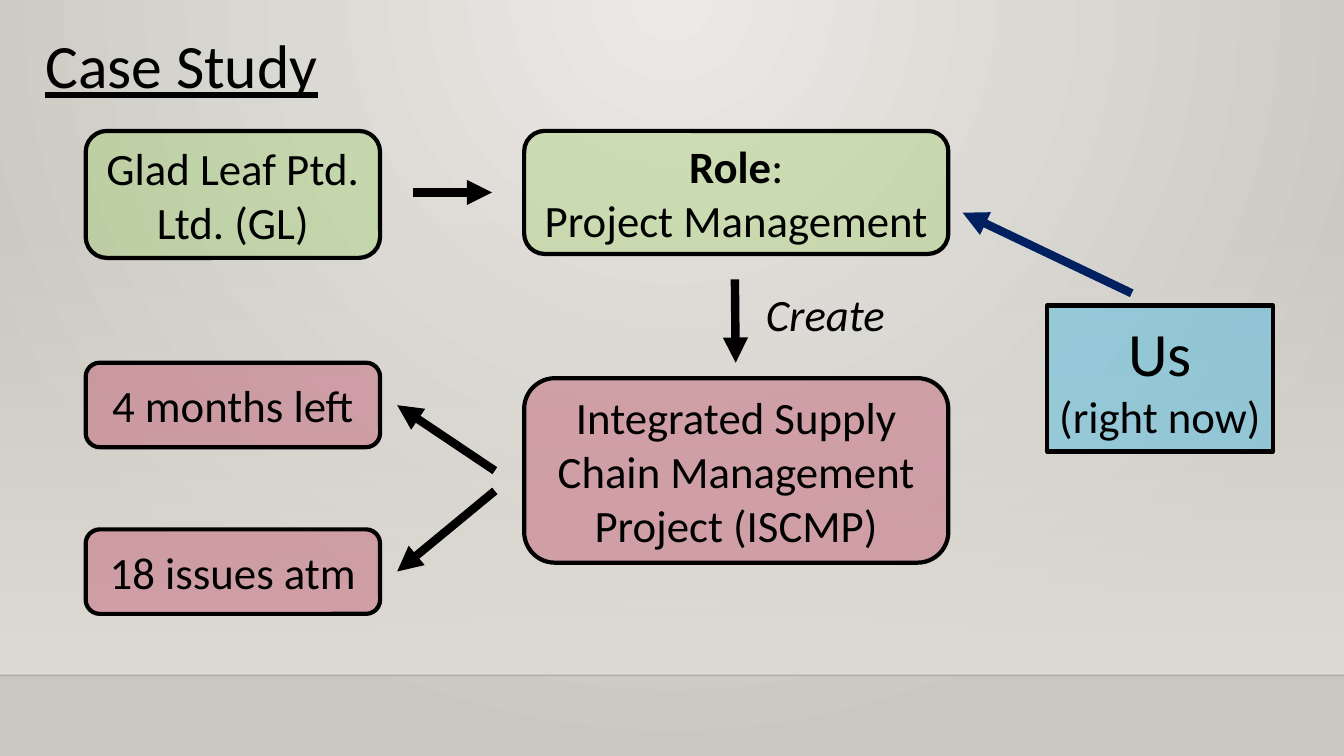
from lxml import etree
from pptx import Presentation
from pptx.dml.color import RGBColor
from pptx.enum.shapes import MSO_CONNECTOR, MSO_SHAPE
from pptx.enum.text import MSO_ANCHOR, MSO_AUTO_SIZE, PP_ALIGN
from pptx.oxml import parse_xml
from pptx.oxml.ns import nsdecls, qn
from pptx.util import Cm, Pt

# Content: lengths in cm, text sizes in points
WIDTH, HEIGHT = 33.87, 19.05
FLOOR_TOP, FLOOR_LINE = 5.61, 17.02
FONT, BODY, LARGE = "Calibri", 32, 44
BLACK, NAVY = "000000", "002060"
GREEN, RED, BLUE = "92D050", "B71E42", "00B0F0"
ROUND, SQUARE = MSO_SHAPE.ROUNDED_RECTANGLE, MSO_SHAPE.RECTANGLE
LEFT_X, MIDDLE_X, MIDDLE_W = 2.16, 13.21, 10.69

TITLE = ("Case Study", (0.89, 0.56, 28.35, 2.13))
CREATE = ("Create", (17.78, 7.11, 6.6, 1.63))

# Each paragraph: size and a list of (text, bold) runs
BOXES = [
    (ROUND, GREEN, (LEFT_X, 3.3, 7.42, 3.2),
     [(BODY, [("Glad Leaf Ptd. Ltd. (GL)", False)])]),
    (ROUND, GREEN, (MIDDLE_X, 3.3, MIDDLE_W, 3.1),
     [(BODY, [("Role", True), (":", False)]),
      (BODY, [("Project Management", False)])]),
    (ROUND, RED, (MIDDLE_X, 9.53, MIDDLE_W, 4.65),
     [(BODY, [("Integrated Supply Chain Management Project (ISCMP)", False)])]),
    (ROUND, RED, (LEFT_X, 9.14, 7.42, 2.13),
     [(BODY, [("4 months left", False)])]),
    (ROUND, RED, (LEFT_X, 13.34, 7.42, 2.13),
     [(BODY, [("18 issues atm", False)])]),
    (SQUARE, BLUE, (26.39, 7.7, 5.69, 3.68),
     [(LARGE, [("Us", False)]), (BODY, [("(right now)", False)])]),
]

ARROWS = [
    ((10.41, 4.85), (12.4, 4.85), BLACK),
    ((18.52, 7.04), (18.54, 9.14), BLACK),
    ((28.52, 7.39), (24.26, 5.36), NAVY),
    ((12.47, 11.86), (10.01, 10.21), BLACK),
    ((12.47, 12.37), (10.01, 14.4), BLACK),
]


# Helpers
def rgb(hex_color):
    return RGBColor.from_string(hex_color)


def cm(lengths):
    return [Cm(length) for length in lengths]


def set_opacity(fill_owner, percent):
    for color in fill_owner.iter(qn("a:srgbClr")):
        etree.SubElement(color, qn("a:alpha"), val=str(percent * 1000))


def gradient(stops, direction):
    marks = "".join(
        f'<a:gs pos="{pos * 1000}"><a:srgbClr val="{color}">'
        f'<a:alpha val="{opacity * 1000}"/></a:srgbClr></a:gs>'
        for pos, color, opacity in stops)
    return parse_xml(f'<a:gradFill {nsdecls("a")} rotWithShape="1">'
                     f'<a:gsLst>{marks}</a:gsLst>{direction}</a:gradFill>')


def swap_gradient(parent, new):
    old = next(parent.iter(qn("a:gradFill")))
    old.getparent().replace(old, new)


def style_font(font, size, color=BLACK):
    font.name, font.size = FONT, Pt(size)
    font.color.rgb = rgb(color)


def add_line(start, end, color, width):
    line = slide.shapes.add_connector(MSO_CONNECTOR.STRAIGHT, *cm(start + end))
    line.line.color.rgb = rgb(color)
    line.line.width = Pt(width)
    etree.SubElement(line.element.spPr, qn("a:effectLst"))
    return line


def add_label(text, place, size):
    frame = slide.shapes.add_textbox(*cm(place)).text_frame
    frame.word_wrap = True
    frame.auto_size = MSO_AUTO_SIZE.SHAPE_TO_FIT_TEXT
    frame.text = text
    label = frame.paragraphs[0]
    style_font(label.runs[0].font, size)
    return label


deck = Presentation()
deck.slide_width, deck.slide_height = Cm(WIDTH), Cm(HEIGHT)
slide = deck.slides.add_slide(deck.slide_layouts[6])

# Background glow, wall fade and floor line
slide.background.fill.gradient()
swap_gradient(slide.element, gradient(
    [(0, "ECEAE7", 100), (100, "CAC7C1", 100)],
    '<a:path path="circle">'
    '<a:fillToRect l="43000" t="0" r="43000" b="100000"/></a:path>'))

wall = slide.shapes.add_shape(
    SQUARE, *cm((0, FLOOR_TOP, WIDTH, FLOOR_LINE - FLOOR_TOP)))
wall.shadow.inherit = False
wall.line.fill.background()
wall.fill.gradient()
swap_gradient(wall.element.spPr, gradient(
    [(0, "DFDBD5", 0), (100, "DFDBD5", 100)],
    '<a:lin ang="5400000" scaled="0"/>'))

floor = add_line((0, FLOOR_LINE), (WIDTH, FLOOR_LINE), "000001", 1)
set_opacity(floor.element.spPr, 20)

# Title
title = add_label(*TITLE, LARGE)
title.runs[0].font.underline = True

# Boxes
for outline, color, place, paragraphs in BOXES:
    box = slide.shapes.add_shape(outline, *cm(place))
    box.shadow.inherit = False
    box.fill.solid()
    box.fill.fore_color.rgb = rgb(color)
    set_opacity(box.element.spPr, 30)
    box.line.color.rgb = rgb(BLACK)
    box.line.width = Pt(3)
    frame = box.text_frame
    frame.word_wrap = True
    frame.vertical_anchor = MSO_ANCHOR.MIDDLE
    for index, (size, runs) in enumerate(paragraphs):
        paragraph = frame.add_paragraph() if index else frame.paragraphs[0]
        paragraph.alignment = PP_ALIGN.CENTER
        for text, bold in runs:
            run = paragraph.add_run()
            run.text = text
            style_font(run.font, size)
            run.font.bold = bold

# Arrows
for start, end, color in ARROWS:
    arrow = add_line(start, end, color, 6)
    etree.SubElement(arrow.line._get_or_add_ln(), qn("a:tailEnd"), type="triangle")

# Arrow label
create = add_label(*CREATE, BODY)
create.level = 1
create._p.get_or_add_pPr().set("marL", str(Cm(1.27)))
create.runs[0].font.italic = True

deck.save("out.pptx")
